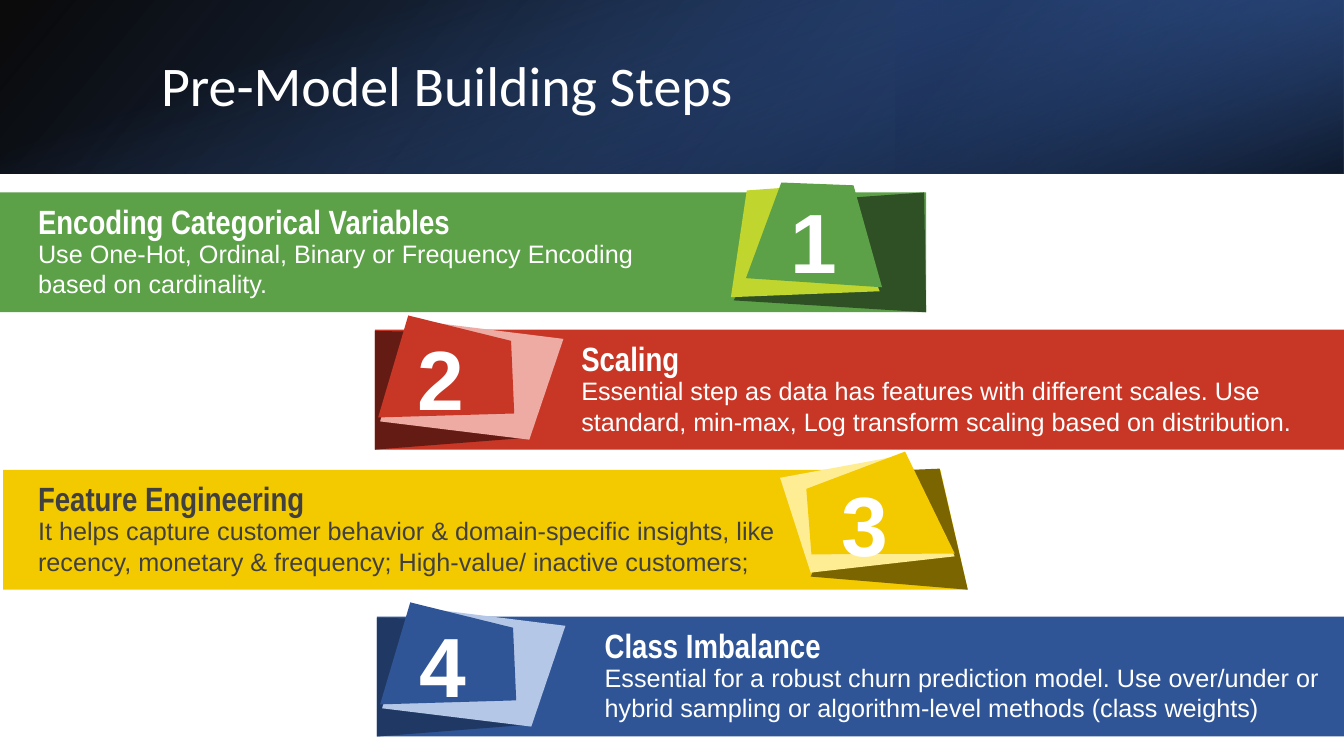
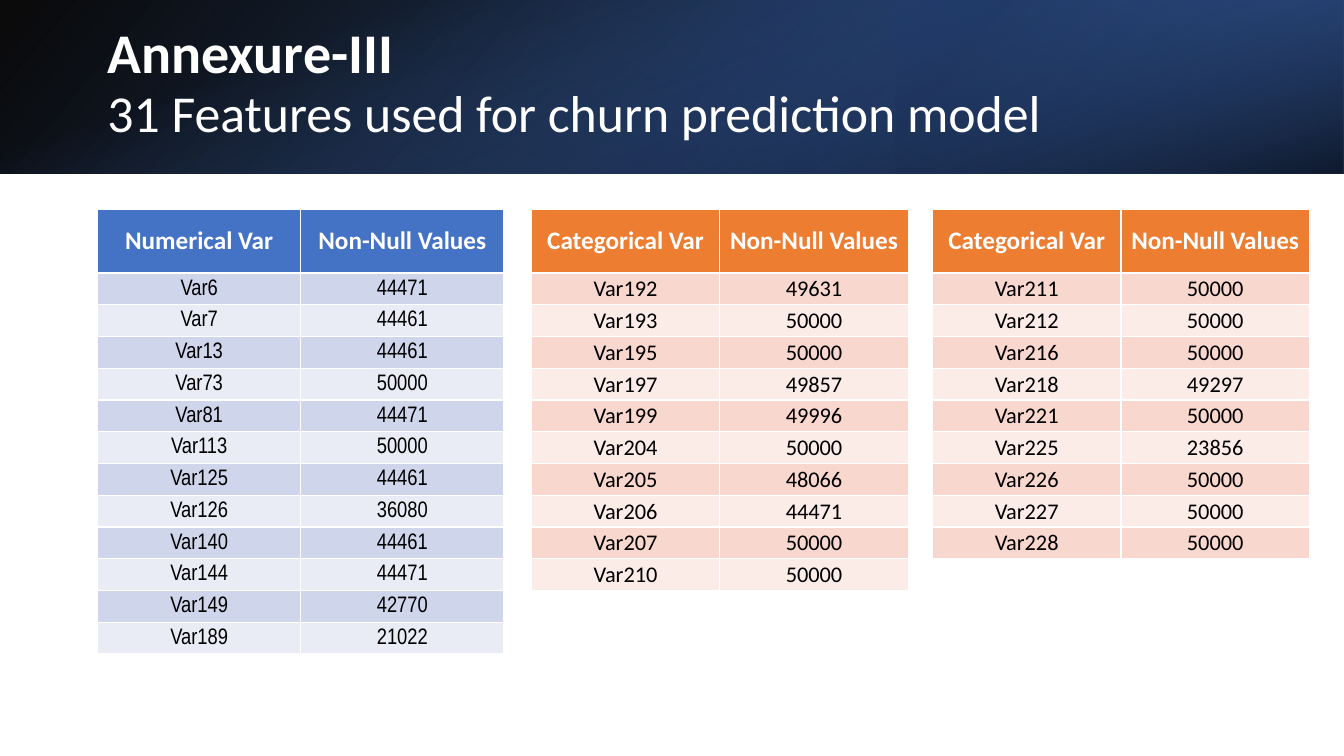
from dataclasses import dataclass

from lxml import etree
from pptx import Presentation
from pptx.dml.color import RGBColor
from pptx.enum import shapes, text
from pptx.oxml import ns
from pptx.util import Cm, Pt


@dataclass(frozen=True)
class Theme:
    white: str = "FFFFFF"
    black: str = "000000"
    dark_text: str = "404040"
    navy: str = "203864"
    royal: str = "2F5597"
    blue: str = "4472C4"
    orange: str = "ED7D31"
    blue_rows: tuple = ("CFD5EA", "E9EBF5")
    orange_rows: tuple = ("F8D7CE", "FCECE8")
    title_font: str = "Calibri"
    heading_font: str = "Arial Narrow"
    body_font: str = "Arial"
    title_size: float = 40
    subtitle_size: float = 37
    number_size: float = 60
    heading_size: float = 24
    body_size: float = 18
    table_header_size: float = 18
    table_body_size: float = 16


@dataclass(frozen=True)
class Badge:
    shade: tuple
    light: tuple
    front: tuple
    margins: tuple


@dataclass(frozen=True)
class Ribbon:
    number: str
    heading: str
    body: str
    left: float
    top: float
    width: float
    text_left: float
    text_width: float
    badge: Badge
    colors: tuple
    text_color: str
    slant: float = 0


THEME = Theme()
SLIDE_WIDTH, SLIDE_HEIGHT = 33.87, 19.05
BAND_HEIGHT = 4.37
RIBBON_HEIGHT = 3.02
TABLE_TOP = 5.28
HEADER_ROW, BODY_ROW = 1.6, 0.8

GREEN_BADGE = Badge(
    shade=((23.29, 0), (23.34, 3.02), (18.49, 2.72), (19.35, 1.09), (19.76, 0.25)),
    light=((20.9, -0.2), (21.23, 0.18), (22.17, 2.49), (18.42, 2.64), (18.82, -0.05)),
    front=((19.69, -0.25), (21.51, -0.18), (22.23, 2.39), (18.8, 2.16)),
    margins=(0.5, 0.76, 0.5, 0.5),
)
YELLOW_BADGE = Badge(
    shade=((23.6, -0.03), (24.31, 3.02), (20.35, 2.69), (21.31, 0.64), (21.72, 0.05)),
    light=((22.73, -0.38), (23.98, 2.18), (20.35, 2.59), (19.58, 0.2)),
    front=((22.73, -0.46), (23.98, 2.11), (20.37, 2.13), (20.24, 0.48)),
    margins=(0.5, 1.52, 1.27, 0.5),
)
LEFT_BADGE = Badge(
    shade=((0, 0.03), (0, 3.02), (3.86, 2.72), (3.1, 0.71), (2.67, 0.08)),
    light=((0.89, -0.25), (0.13, 2.31), (3.89, 2.77), (4.75, 0.23)),
    front=((0.84, -0.36), (0.08, 2.21), (3.51, 2.11), (3.43, 0.28)),
    margins=(0.5, 1.02, 0.76, 0.5),
)

RIBBONS = (
    Ribbon("1", "Encoding Categorical Variables",
           "Use One-Hot, Ordinal, Binary or Frequency Encoding based on cardinality.",
           0, 4.85, 23.34, 0.71, 16.89, GREEN_BADGE,
           ("5CA147", "2E5024", "C0D62E"), THEME.white),
    Ribbon("2", "Scaling",
           "Essential step as data has features with different scales. "
           "Use standard, min-max, Log transform scaling based on distribution.",
           9.45, 8.31, SLIDE_WIDTH - 9.45, 14.4, 18.92, LEFT_BADGE,
           ("C83626", "641B13", "EEABA4"), THEME.white),
    Ribbon("3", "Feature Engineering",
           "It helps capture customer behavior & domain-specific insights, like "
           "recency, monetary & frequency; High-value/ inactive customers;",
           0.08, 11.84, 24.31, 0.71, 19.25, YELLOW_BADGE,
           ("F3C900", "7A6500", "FFED94"), THEME.dark_text, slant=0.69),
    Ribbon("4", "Class Imbalance",
           "Essential for a robust churn prediction model. Use over/under or hybrid "
           "sampling or algorithm-level methods (class weights)",
           9.5, 15.54, SLIDE_WIDTH - 9.5, 14.99, 18.87, LEFT_BADGE,
           (THEME.royal, THEME.navy, "B4C7E7"), THEME.white),
)

NUMERICAL = (
    ("Var6", 44471), ("Var7", 44461), ("Var13", 44461), ("Var73", 50000),
    ("Var81", 44471), ("Var113", 50000), ("Var125", 44461), ("Var126", 36080),
    ("Var140", 44461), ("Var144", 44471), ("Var149", 42770), ("Var189", 21022),
)
CATEGORICAL_FIRST = (
    ("Var192", 49631), ("Var193", 50000), ("Var195", 50000), ("Var197", 49857),
    ("Var199", 49996), ("Var204", 50000), ("Var205", 48066), ("Var206", 44471),
    ("Var207", 50000), ("Var210", 50000),
)
CATEGORICAL_SECOND = (
    ("Var211", 50000), ("Var212", 50000), ("Var216", 50000), ("Var218", 49297),
    ("Var221", 50000), ("Var225", 23856), ("Var226", 50000), ("Var227", 50000),
    ("Var228", 50000),
)


def style_font(paragraph, name, size, color, bold=False):
    font = paragraph.font
    font.name, font.size, font.bold = name, Pt(size), bold
    font.color.rgb = RGBColor.from_string(color)


def set_margins(target, margins):
    (target.margin_left, target.margin_top,
     target.margin_right, target.margin_bottom) = map(Cm, margins)


def paint(shape, color):
    shape.shadow.inherit = False
    shape.fill.solid()
    shape.fill.fore_color.rgb = RGBColor.from_string(color)
    shape.line.fill.background()


def add_gradient(slide, box, angle, stops, rotation=0, flip=False):
    shape = slide.shapes.add_shape(shapes.MSO_SHAPE.RECTANGLE, *map(Cm, box))
    paint(shape, THEME.royal)
    shape.rotation = rotation
    properties = shape._element.spPr
    if flip:
        properties.find(ns.qn("a:xfrm")).set("flipH", "1")
    gradient = etree.Element(ns.qn("a:gradFill"), rotWithShape="1")
    stop_list = etree.SubElement(gradient, ns.qn("a:gsLst"))
    for position, color, opacity in stops:
        stop = etree.SubElement(stop_list, ns.qn("a:gs"), pos=str(position * 1000))
        value = etree.SubElement(stop, ns.qn("a:srgbClr"), val=color)
        etree.SubElement(value, ns.qn("a:alpha"), val=str(opacity * 1000))
    etree.SubElement(gradient, ns.qn("a:lin"), ang=str(angle * 60000), scaled="0")
    properties.replace(properties.find(ns.qn("a:solidFill")), gradient)


def add_header_band(slide):
    add_gradient(slide, (0, 0, SLIDE_WIDTH, BAND_HEIGHT), 140,
                 ((0, THEME.black, 96), (100, THEME.royal, 100)), flip=True)
    accent_width = SLIDE_WIDTH / 3
    add_gradient(slide, (SLIDE_WIDTH - accent_width, 0, accent_width, BAND_HEIGHT), 320,
                 ((19, THEME.navy, 68), (100, THEME.blue, 79)), rotation=180, flip=True)
    offset = (SLIDE_WIDTH - BAND_HEIGHT) / 2
    add_gradient(slide, (offset, -offset, BAND_HEIGHT, SLIDE_WIDTH), 340,
                 ((23, THEME.blue, 0), (99, THEME.black, 74)), rotation=90)


def add_text_box(slide, box):
    frame = slide.shapes.add_textbox(*map(Cm, box)).text_frame
    frame.word_wrap = True
    return frame


def add_title(slide, box, lines, spacing):
    frame = add_text_box(slide, box)
    frame.vertical_anchor = text.MSO_ANCHOR.MIDDLE
    for index, (line, size, bold) in enumerate(lines):
        paragraph = frame.add_paragraph() if index else frame.paragraphs[0]
        paragraph.text = line
        paragraph.line_spacing = spacing
        paragraph.space_after = Pt(6)
        style_font(paragraph, THEME.title_font, size, THEME.white, bold)


def add_label(slide, box, label, font, size, color, bold=False):
    frame = add_text_box(slide, box)
    frame.auto_size = text.MSO_AUTO_SIZE.SHAPE_TO_FIT_TEXT
    paragraph = frame.paragraphs[0]
    paragraph.text = label
    style_font(paragraph, font, size, color, bold)


def add_polygon(slide, ribbon, points, color):
    first, *others = [(Cm(ribbon.left + x), Cm(ribbon.top + y)) for x, y in points]
    builder = slide.shapes.build_freeform(*first)
    builder.add_line_segments(others, close=True)
    shape = builder.convert_to_shape()
    paint(shape, color)
    return shape


def add_bar(slide, ribbon, color):
    if ribbon.slant:
        corners = ((0, 0), (ribbon.width - ribbon.slant, 0),
                   (ribbon.width, RIBBON_HEIGHT), (0, RIBBON_HEIGHT))
        add_polygon(slide, ribbon, corners, color)
        return
    box = (ribbon.left, ribbon.top, ribbon.width, RIBBON_HEIGHT)
    paint(slide.shapes.add_shape(shapes.MSO_SHAPE.RECTANGLE, *map(Cm, box)), color)


def add_badge(slide, ribbon):
    main_color, shade_color, light_color = ribbon.colors
    badge = ribbon.badge
    add_polygon(slide, ribbon, badge.shade, shade_color)
    add_polygon(slide, ribbon, badge.light, light_color)
    frame = add_polygon(slide, ribbon, badge.front, main_color).text_frame
    set_margins(frame, badge.margins)
    frame.word_wrap = True
    frame.vertical_anchor = text.MSO_ANCHOR.MIDDLE
    paragraph = frame.paragraphs[0]
    paragraph.text = ribbon.number
    paragraph.alignment = text.PP_ALIGN.CENTER
    style_font(paragraph, THEME.body_font, THEME.number_size, THEME.white, True)


def add_ribbon(slide, ribbon):
    add_bar(slide, ribbon, ribbon.colors[0])
    add_badge(slide, ribbon)
    add_label(slide, (ribbon.text_left, ribbon.top + 1.03, ribbon.text_width, 1.8),
              ribbon.body, THEME.body_font, THEME.body_size, ribbon.text_color)
    add_label(slide, (ribbon.text_left, ribbon.top + 0.08, 15.3, 1.27),
              ribbon.heading, THEME.heading_font, THEME.heading_size,
              ribbon.text_color, True)


def fill_cell(cell, value, fill, font, size, color, bold=False):
    cell.fill.solid()
    cell.fill.fore_color.rgb = RGBColor.from_string(fill)
    cell.vertical_anchor = text.MSO_ANCHOR.MIDDLE
    paragraph = cell.text_frame.paragraphs[0]
    paragraph.text = str(value)
    paragraph.alignment = text.PP_ALIGN.CENTER
    style_font(paragraph, font, size, color, bold)


def add_feature_table(slide, left, column_width, kind, records, header_fill, row_fills, font):
    height = HEADER_ROW + BODY_ROW * len(records)
    table = slide.shapes.add_table(
        len(records) + 1, 2, Cm(left), Cm(TABLE_TOP), Cm(2 * column_width), Cm(height)).table
    for column in table.columns:
        column.width = Cm(column_width)
    table.rows[0].height = Cm(HEADER_ROW)
    for cell, heading in zip(table.rows[0].cells, (kind, "Non-Null Values")):
        fill_cell(cell, heading, header_fill, THEME.title_font,
                  THEME.table_header_size, THEME.white, True)
    for index, record in enumerate(records):
        row = table.rows[index + 1]
        row.height = Cm(BODY_ROW)
        for cell, value in zip(row.cells, record):
            set_margins(cell, (0.02, 0.02, 0.02, 0))
            fill_cell(cell, value, row_fills[index % 2], font,
                      THEME.table_body_size, THEME.black)


def add_blank_slide(presentation):
    slide = presentation.slides.add_slide(presentation.slide_layouts[6])
    add_header_band(slide)
    return slide


def build_steps_slide(presentation):
    slide = add_blank_slide(presentation)
    add_title(slide, (3.81, 0.66, 27.89, 3.12),
              (("Pre-Model Building Steps", THEME.title_size, False),), 0.9)
    for ribbon in RIBBONS:
        add_ribbon(slide, ribbon)


def build_features_slide(presentation):
    slide = add_blank_slide(presentation)
    add_title(slide, (2.46, 0.56, 26.85, 3.25),
              (("Annexure-III", THEME.title_size, True),
               ("31 Features used for churn prediction model", THEME.subtitle_size, False)), 0.8)
    add_feature_table(slide, 2.46, 5.12, "Numerical Var", NUMERICAL,
                      THEME.blue, THEME.blue_rows, THEME.heading_font)
    for left, records in ((13.39, CATEGORICAL_FIRST), (23.5, CATEGORICAL_SECOND)):
        add_feature_table(slide, left, 4.75, "Categorical Var", records,
                          THEME.orange, THEME.orange_rows, THEME.title_font)


def main():
    presentation = Presentation()
    presentation.slide_width = Cm(SLIDE_WIDTH)
    presentation.slide_height = Cm(SLIDE_HEIGHT)
    build_steps_slide(presentation)
    build_features_slide(presentation)
    presentation.save("out.pptx")


if __name__ == "__main__":
    main()
